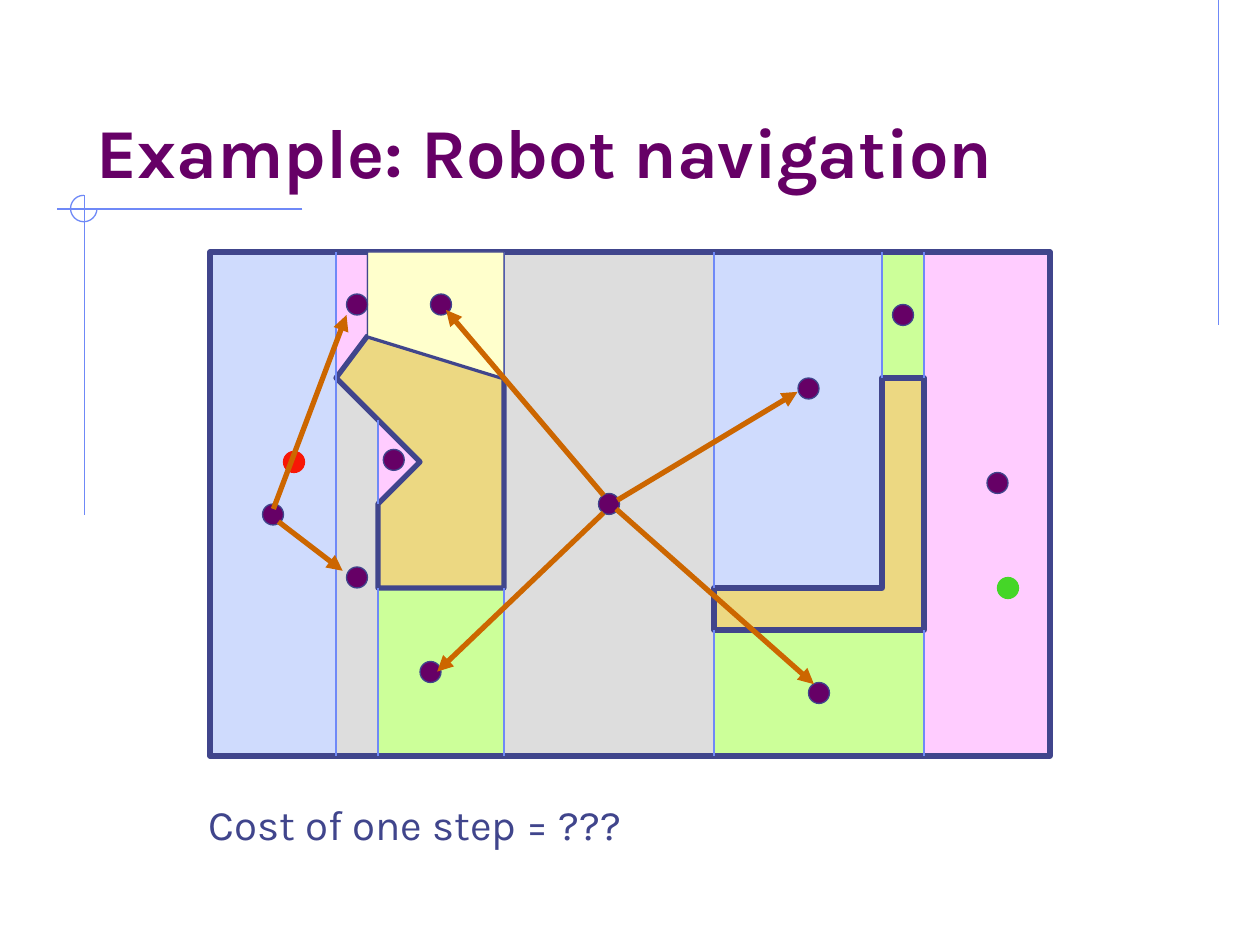
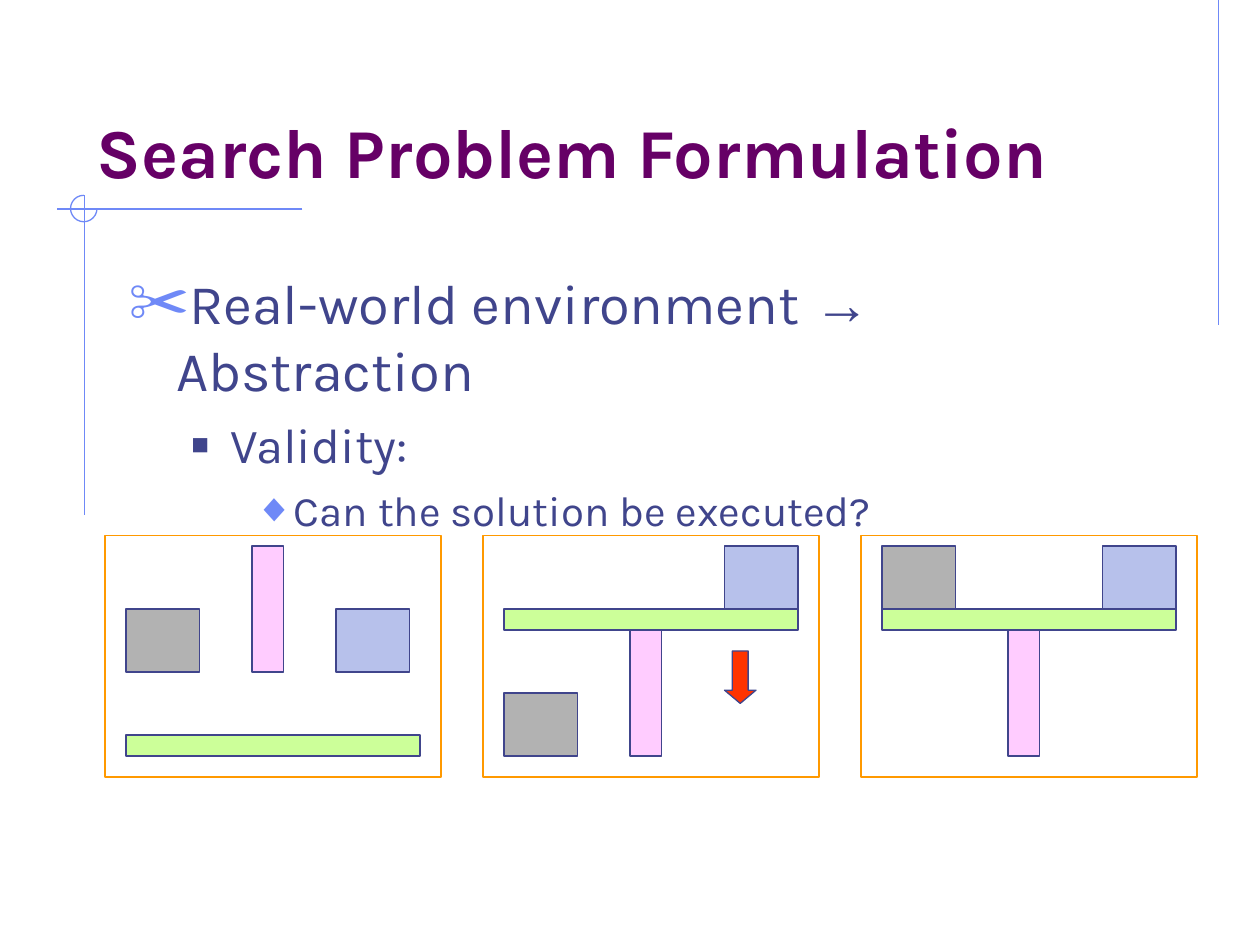
from dataclasses import dataclass

from lxml import etree
from pptx import Presentation
from pptx import util as u
from pptx.dml.color import RGBColor
from pptx.enum import shapes, text
from pptx.oxml.ns import qn


@dataclass(frozen=True)
class Theme:
    font: str = "Karla"
    symbol_font: str = "Arial"
    title: str = "660066"
    ink: str = "40458C"
    accent: str = "6F89F7"
    arrow: str = "CC6600"
    frame: str = "FF9900"
    signal: str = "FF3300"
    start: str = "F81706"
    goal: str = "45D628"
    obstacle: str = "ECD882"
    green: str = "CCFF99"
    pink: str = "FFCCFF"
    blue: str = "CFDBFD"
    grey: str = "DDDDDD"
    yellow: str = "FFFFCC"
    block_grey: str = "B2B2B2"
    block_blue: str = "B7C1EB"
    title_size: int = 40
    body_sizes: tuple = (32, 28, 24)
    label_size: int = 24
    thin: float = 0.75
    thick: float = 3


THEME = Theme()
Kind = shapes.MSO_SHAPE

# Content: drawings are measured on a grid of twelfths of an inch
GRID = 12
TITLES = ("Example: Robot navigation", "Search Problem Formulation")
COST_LABEL = "Cost of one step = ???"

# Decoration lines in inches: x1, y1, x2, y2
DECOR_LINES = [(9.67, 0, 9.67, 2.58), (2.4, 1.66, 0.45, 1.66), (0.67, 1.55, 0.67, 4.09)]

# Free cells of the robot's map: fill and corner points
MAP_FRAME = (20, 24, 80, 48)
CELLS = [
    (THEME.green, [(84, 24), (88, 24), (88, 36), (84, 36)]),
    (THEME.green, [(68, 60), (88, 60), (88, 72), (68, 72)]),
    (THEME.green, [(36, 56), (48, 56), (48, 72), (36, 72)]),
    (THEME.pink, [(88, 24), (100, 24), (100, 72), (88, 72)]),
    (THEME.pink, [(36, 40), (40, 44), (36, 48)]),
    (THEME.pink, [(35, 32), (32, 36), (32, 24), (35, 24)]),
    (THEME.grey, [(48, 24), (68, 24), (68, 72), (48, 72)]),
    (THEME.grey, [(32, 36), (36, 40), (36, 72), (32, 72)]),
    (THEME.blue, [(68, 24), (84, 24), (84, 56), (68, 56)]),
    (THEME.blue, [(20, 24), (32, 24), (32, 72), (20, 72)]),
]
TOP_CELL = [(35, 24), (35, 32), (48, 36), (48, 24)]
OBSTACLES = [
    [(32, 36), (40, 44), (36, 48), (36, 56), (48, 56), (48, 36), (35, 32)],
    [(68, 56), (68, 60), (88, 60), (88, 36), (84, 36), (84, 56)],
]
# Vertical cuts: x, top, bottom
CUTS = [
    (32, 24, 72), (35, 24, 32), (36, 40, 48), (36, 56, 72), (48, 24, 36), (48, 56, 72),
    (68, 24, 56), (68, 60, 72), (84, 24, 36), (88, 60, 72), (88, 24, 36),
]
DOT = 2
START, GOAL = (27, 43), (95, 55)
CELL_DOTS = [
    (57, 47), (76, 36), (85, 29), (40, 63), (77, 65), (33, 54),
    (33, 28), (41, 28), (36.5, 42.8), (94, 45), (25, 48),
]
# Steps between cells in inches: x1, y1, x2, y2
STEPS = [
    (2.21, 4.14, 2.72, 4.53), (2.17, 4.04, 2.75, 2.5), (4.79, 4.07, 3.47, 5.33),
    (4.79, 3.93, 3.54, 2.46), (4.9, 3.97, 6.33, 3.11), (4.89, 4.04, 6.46, 5.43),
]

# Outline levels: bullet, its colour and size %, indent, hang, space before, runs
OUTLINE = [
    ("✂", THEME.accent, 110, 0.38, 0.38, 0,
     [("Real-world environment ", THEME.font), ("→", THEME.symbol_font),
      (" Abstraction", THEME.font)]),
    ("■", THEME.ink, 60, 0.81, 0.31, 7, [("Validity:", THEME.font)]),
    ("◆", THEME.accent, 95, 1.25, 0.25, 6,
     [("Can the solution be executed?", THEME.font)]),
]

# Block panels: place of each part from the panel's corner
PANEL_LEFT, PANEL_TOP, PANEL_STEP, PANEL_SIZE = 10, 51, 36, (32, 23)
PARTS = {
    "post": ((3, 12), THEME.pink),
    "beam": ((28, 2), THEME.green),
    "grey": ((7, 6), THEME.block_grey),
    "blue": ((7, 6), THEME.block_blue),
    "drop": ((3, 5), THEME.signal),
}
PANELS = [
    {"post": (14, 1), "beam": (2, 19), "grey": (2, 7), "blue": (22, 7)},
    {"post": (14, 9), "beam": (2, 7), "grey": (2, 15), "blue": (23, 1), "drop": (23, 11)},
    {"post": (14, 9), "beam": (2, 7), "grey": (2, 1), "blue": (23, 1)},
]


def grid(*values):
    return [u.Inches(value / GRID) for value in values]


def paint(shape, fill, line=THEME.ink, width=THEME.thin):
    shape.shadow.inherit = False
    if fill:
        shape.fill.solid()
        shape.fill.fore_color.rgb = RGBColor.from_string(fill)
    else:
        shape.fill.background()
    shape.line.color.rgb = RGBColor.from_string(line)
    shape.line.width = u.Pt(width)
    return shape


def add_preset(page, kind, place, fill, line=THEME.ink, width=THEME.thin):
    return paint(page.shapes.add_shape(kind, *grid(*place)), fill, line, width)


def add_polygon(page, points, fill, width=THEME.thin):
    corners = [grid(*point) for point in points]
    builder = page.shapes.build_freeform(*corners[0])
    builder.add_line_segments(corners[1:], close=True)
    shape = paint(builder.convert_to_shape(), fill, width=width)
    etree.SubElement(shape.line._get_or_add_ln(), qn("a:round"))


def add_line(page, ends, color=THEME.accent, width=THEME.thin, arrow=False):
    line = page.shapes.add_connector(
        shapes.MSO_CONNECTOR.STRAIGHT, *[u.Inches(end) for end in ends])
    line.line.color.rgb = RGBColor.from_string(color)
    line.line.width = u.Pt(width)
    if arrow:
        etree.SubElement(line.line._get_or_add_ln(), qn("a:tailEnd"), type="triangle")
    etree.SubElement(line._element.spPr, qn("a:effectLst"))


def add_box(page, place, wrap=True):
    frame = page.shapes.add_textbox(*[u.Inches(value) for value in place]).text_frame
    frame.word_wrap = wrap
    return frame


def add_run(para, words, size, color=THEME.ink, font=THEME.font, bold=False):
    span = para.add_run()
    span.text = words
    span.font.name = font
    span.font.size = u.Pt(size)
    span.font.bold = bold
    span.font.color.rgb = RGBColor.from_string(color)


def set_bullet(para, mark, color, percent, indent, hang):
    props = para._p.get_or_add_pPr()
    props.set("marL", str(u.Inches(indent)))
    props.set("indent", str(-u.Inches(hang)))
    holder = etree.SubElement(props, qn("a:buClr"))
    etree.SubElement(holder, qn("a:srgbClr"), val=color)
    etree.SubElement(props, qn("a:buSzPct"), val=str(percent * 1000))
    etree.SubElement(props, qn("a:buFont"), typeface=THEME.symbol_font)
    etree.SubElement(props, qn("a:buChar"), char=mark)


def add_page(deck, title):
    """Blank page with the shared crosshair and title."""
    page = deck.slides.add_slide(deck.slide_layouts[6])
    for ends in DECOR_LINES:
        add_line(page, ends)
    arc = page.shapes.add_shape(
        Kind.ARC, *[u.Inches(value) for value in (0.56, 1.55, 0.21, 0.21)])
    arc.adjustments[0], arc.adjustments[1] = 0, 162  # three quarters, from the right
    paint(arc, None, THEME.accent)
    frame = add_box(page, (0.67, 0.33, 8.5, 1.25))
    frame.vertical_anchor = text.MSO_ANCHOR.BOTTOM
    add_run(frame.paragraphs[0], title, THEME.title_size, THEME.title, bold=True)
    return page


def draw_navigation(page):
    # Map with its cells, obstacles and cuts
    for fill, points in CELLS:
        add_polygon(page, points, fill)
    add_preset(page, Kind.RECTANGLE, MAP_FRAME, None, width=THEME.thick)
    for points in OBSTACLES:
        add_polygon(page, points, THEME.obstacle, THEME.thick)
    for x, top, bottom in CUTS:
        add_line(page, [value / GRID for value in (x, top, x, bottom)])
    add_polygon(page, TOP_CELL, THEME.yellow)

    # Start, goal, cell centres and steps
    for place, color in ((START, THEME.start), (GOAL, THEME.goal)):
        add_preset(page, Kind.OVAL, (*place, DOT, DOT), color, color)
    for place in CELL_DOTS:
        add_preset(page, Kind.OVAL, (*place, DOT, DOT), THEME.title)
    for ends in STEPS:
        add_line(page, ends, THEME.arrow, THEME.thick, arrow=True)

    label = add_box(page, (1.56, 6.29, 3.53, 0.5), wrap=False)
    add_run(label.paragraphs[0], COST_LABEL, THEME.label_size)


def draw_formulation(page):
    # Outline
    frame = add_box(page, (0.92, 2.08, 8.5, 4.5))
    for level, (mark, color, percent, indent, hang, gap, runs) in enumerate(OUTLINE):
        para = frame.add_paragraph() if level else frame.paragraphs[0]
        para.level = level
        set_bullet(para, mark, color, percent, indent, hang)
        if gap:
            para.space_before = u.Pt(gap)
        for words, font in runs:
            add_run(para, words, THEME.body_sizes[level], font=font)

    # Panels of blocks
    for index, panel in enumerate(PANELS):
        left = PANEL_LEFT + index * PANEL_STEP
        for name, (x, y) in panel.items():
            size, fill = PARTS[name]
            kind = Kind.DOWN_ARROW if name == "drop" else Kind.RECTANGLE
            part = add_preset(page, kind, (left + x, PANEL_TOP + y, *size), fill)
            if name == "drop":
                part.adjustments[1] = 0.42
        add_preset(page, Kind.RECTANGLE, (left, PANEL_TOP, *PANEL_SIZE), None, THEME.frame)


def main():
    deck = Presentation()
    deck.slide_width, deck.slide_height = u.Inches(10), u.Inches(7.5)
    for title, draw in zip(TITLES, (draw_navigation, draw_formulation)):
        draw(add_page(deck, title))
    deck.save("out.pptx")


if __name__ == "__main__":
    main()
